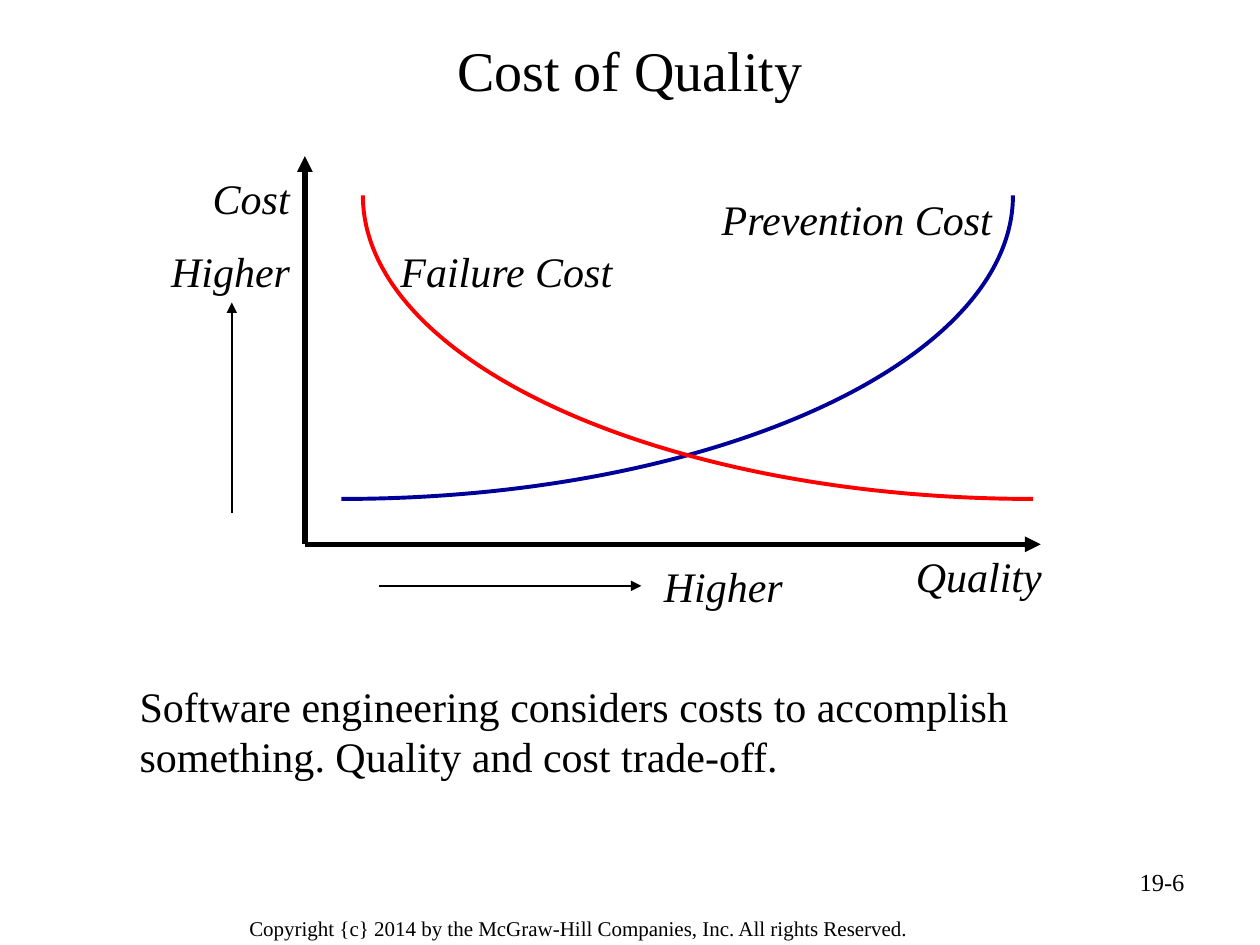
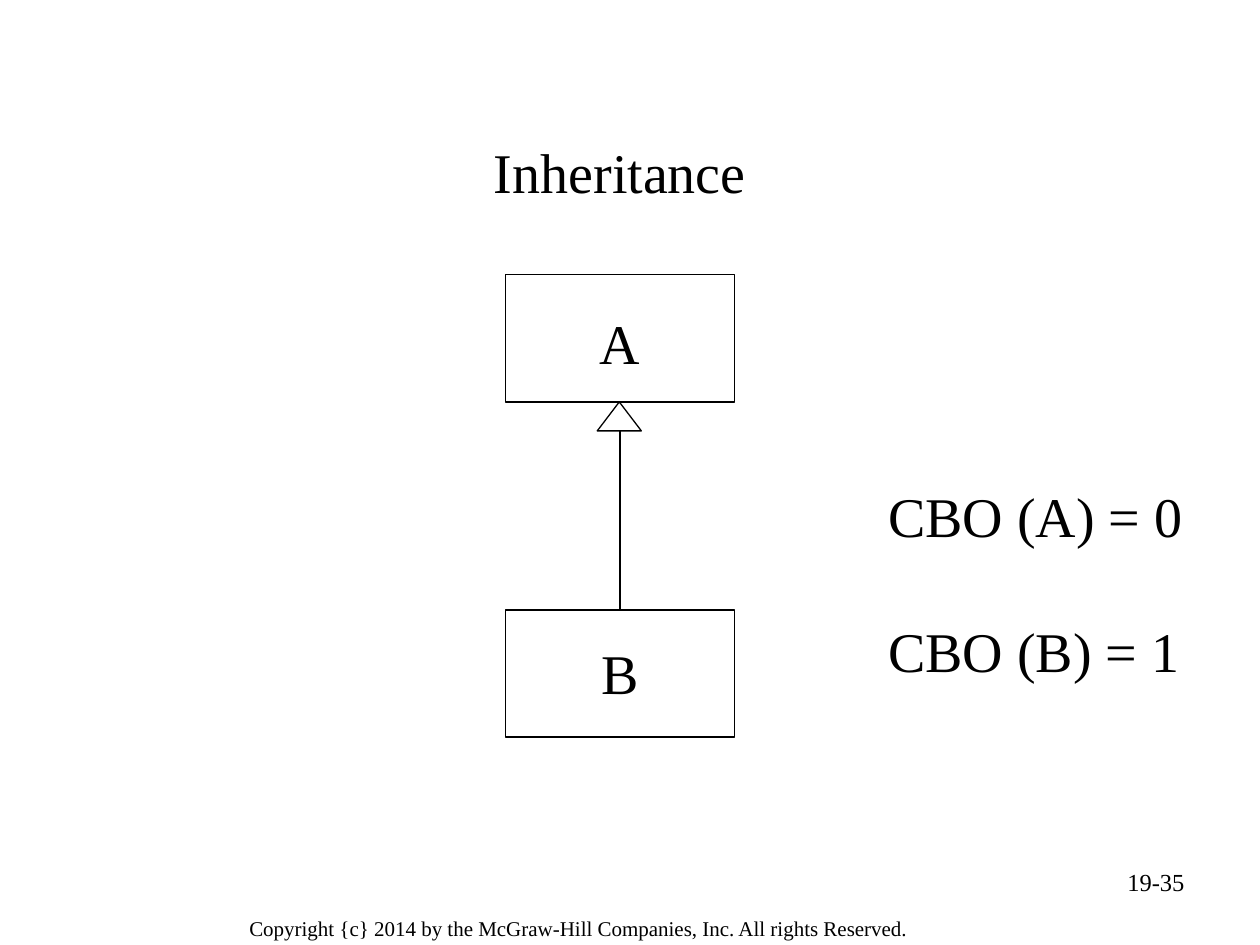
from pptx import Presentation
from pptx.dml.color import RGBColor
from pptx.enum.shapes import MSO_CONNECTOR, MSO_SHAPE
from pptx.enum.text import MSO_ANCHOR, PP_ALIGN
from pptx.oxml.ns import qn
from pptx.util import Inches, Pt
from lxml.etree import SubElement

COLORS = {"ink": "000000", "paper": "FFFFFF", "failure": "FF0000", "prevent": "000099"}
FONT = "Times New Roman"
RIGHTS = "Copyright {c} 2014 by the McGraw-Hill Companies, Inc. All rights Reserved."


def color(name):
    """Return the named colour of the palette."""
    return RGBColor.from_string(COLORS[name])


def style(target, values):
    """Set each value of a dict as an attribute of the target."""
    for name, value in values.items():
        setattr(target, name, value)


def add_text(slide, box, lines, size, italic=False, wrap=True, gap=0,
             align=PP_ALIGN.LEFT, anchor=MSO_ANCHOR.TOP):
    """Add a text box with one paragraph per line."""
    frame = slide.shapes.add_textbox(*map(Inches, box)).text_frame
    style(frame, {"word_wrap": wrap, "vertical_anchor": anchor})
    for index, line in enumerate(lines):
        para = frame.add_paragraph() if index else frame.paragraphs[0]
        para.alignment = align
        if index:
            para.space_before = Pt(gap)
        run = para.add_run()
        run.text = line
        style(run.font, {"name": FONT, "size": Pt(size), "italic": italic})
        run.font.color.rgb = color("ink")


def add_arrow(slide, start, end, width):
    """Add a straight arrow between two points."""
    arrow = slide.shapes.add_connector(
        MSO_CONNECTOR.STRAIGHT, *map(Inches, (*start, *end)))
    arrow.line.width = Pt(width)
    arrow.line.color.rgb = color("ink")
    SubElement(arrow.line._get_or_add_ln(), qn("a:tailEnd"), type="triangle")
    SubElement(arrow._element.spPr, qn("a:effectLst"))
    return arrow


def add_outline(slide, kind, box, fill=None):
    """Add a thinly outlined preset shape."""
    shape = slide.shapes.add_shape(kind, *map(Inches, box))
    shape.shadow.inherit = False
    if fill:
        shape.fill.solid()
        shape.fill.fore_color.rgb = color(fill)
    else:
        shape.fill.background()
    shape.line.width = Pt(0.75)
    shape.line.color.rgb = color("ink")
    return shape


def add_curve(slide, start, end, hue):
    """Add a quarter ellipse that leaves start level and reaches end upright."""
    (x1, y1), (x2, y2) = start, end
    bend = 0.55
    points = [(x1 + bend * (x2 - x1), y1), (x2, y2 + bend * (y1 - y2)), end]
    builder = slide.shapes.build_freeform(Inches(x1), Inches(y1))
    builder.add_line_segments(
        [(Inches(x), Inches(y)) for x, y in points], close=False)
    curve = builder.convert_to_shape()
    route = next(curve._element.iter(qn("a:path")))
    bezier = SubElement(route, qn("a:cubicBezTo"))
    for step in route.findall(qn("a:lnTo")):
        bezier.append(step[0])
        route.remove(step)
    curve.shadow.inherit = False
    curve.fill.background()
    curve.line.width = Pt(2.25)
    curve.line.color.rgb = color(hue)


def add_footer(slide, number):
    """Add the rights line and the page number."""
    add_text(slide, (1.88, 7.22, 6.19, 0.31), [RIGHTS], 12)
    add_text(slide, (7.17, 6.83, 2.33, 0.52), [number], 14, align=PP_ALIGN.RIGHT)


def add_title(slide, box, title):
    """Add a centred slide title."""
    add_text(slide, box, [title], 32, align=PP_ALIGN.CENTER, anchor=MSO_ANCHOR.MIDDLE)


def add_graph(slide, box):
    """Draw the cost curves, axes and labels inside the box."""
    left, top, width, height = box

    def at(x, y):
        """Shift a point into the box."""
        return left + x, top + y

    base = height - 0.58
    corner = at(1.16, base)
    for start, end, weight in [
        (corner, at(7, base), 3),
        (corner, at(1.16, 0), 3),
        (at(1.75, 3.41), at(3.83, 3.41), 1),
        (at(0.58, 2.83), at(0.58, 1.16), 1),
    ]:
        add_arrow(slide, start, end, weight)
    for label, x, y, span in [
        ("Cost", 0.33, 0.08, 1.17),
        ("Quality", 5.91, base, width - 5.91),
        ("Failure Cost", 1.82, 0.66, 2.17),
        ("Prevention Cost", 4.37, 0.25, 2.5),
        ("Higher", 3.91, 3.16, 1.75),
        ("Higher", 0, 0.66, 1.33),
    ]:
        add_text(slide, (*at(x, y), span, 0.5), [label], 24, italic=True)
    add_curve(slide, at(1.45, 2.72), at(6.78, 0.31), "prevent")
    add_curve(slide, at(6.94, 2.72), at(1.62, 0.31), "failure")


def add_tree(slide, box):
    """Draw class B inheriting from class A inside the box."""
    left, top, width, height = box
    side, mid = 1.01, left + width / 2
    low = top + height - side
    parent, child = [
        add_outline(slide, MSO_SHAPE.RECTANGLE, (left, y, width, side))
        for y in (top, low)]
    link = add_arrow(slide, (mid, low), (mid, top + side), 0.75)
    link.begin_connect(child, 0)
    link.end_connect(parent, 2)
    for name, y in (("A", top + 0.22), ("B", low + 0.18)):
        add_text(slide, (mid - 0.26, y, 0.52, 0.64), [name], 32,
                 wrap=False, align=PP_ALIGN.CENTER)
    add_outline(slide, MSO_SHAPE.ISOSCELES_TRIANGLE,
                (mid - 0.18, top + side, 0.35, 0.23), "paper")


def cost_slide(slide):
    """Build the cost of quality slide."""
    add_footer(slide, "19-6")
    add_title(slide, (0.5, 0.17, 9, 0.75), "Cost of Quality")
    add_text(slide, (1.01, 5.35, 8, 0.9), [
        "Software engineering considers costs to accomplish something. "
        "Quality and cost trade-off."], 24)
    add_graph(slide, (1.26, 1.24, 7.49, 3.66))


def class_slide(slide):
    """Build the inheritance slide."""
    add_footer(slide, "19-35")
    add_title(slide, (3.82, 1.04, 2.2, 0.64), "Inheritance")
    add_tree(slide, (4.01, 2.18, 1.82, 3.67))
    add_text(slide, (6.95, 3.77, 2.54, 1.7), ["CBO (A) = 0", "CBO (B) = 1"], 32,
             wrap=False, gap=39)


def main():
    """Build and save the deck."""
    deck = Presentation()
    style(deck, {"slide_width": Inches(10), "slide_height": Inches(7.5)})
    for build in (cost_slide, class_slide):
        build(deck.slides.add_slide(deck.slide_layouts[6]))
    deck.save("out.pptx")


if __name__ == "__main__":
    main()
